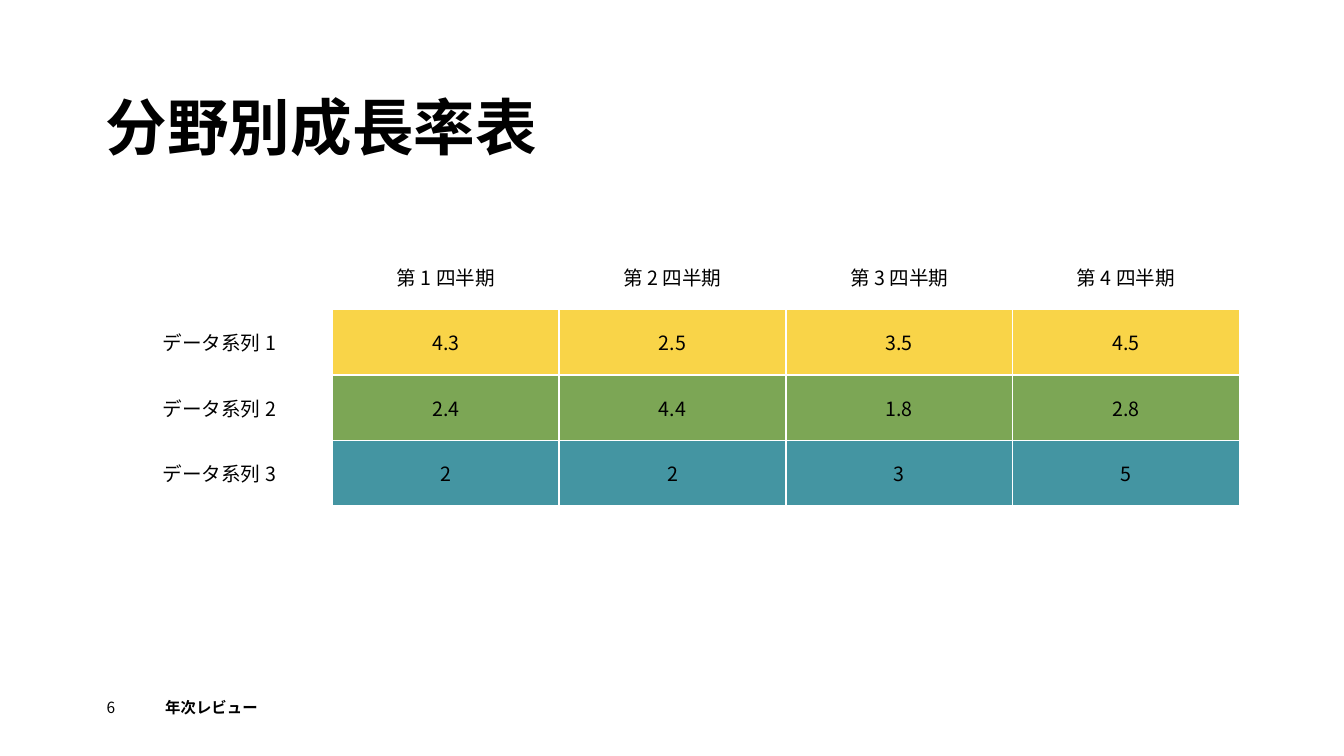
from lxml import etree
from pptx import Presentation
from pptx import util as u
from pptx.dml.color import RGBColor
from pptx.enum import text
from pptx.oxml import ns

BLACK = RGBColor(0x00, 0x00, 0x00)
WHITE = RGBColor(0xFF, 0xFF, 0xFF)
YELLOW = RGBColor(0xF9, 0xD4, 0x48)
GREEN = RGBColor(0x7C, 0xA6, 0x55)
TEAL = RGBColor(0x44, 0x95, 0xA2)
FONT = "Noto Sans CJK JP"

COLUMN, ROW = u.Inches(2.25), u.Inches(0.65)
MARGIN = u.Inches(1.05)
FOOTER_TOP, FOOTER_HEIGHT = u.Inches(6.93), u.Inches(0.27)
OUTER_LINE, INNER_LINE = u.Pt(1.08), u.Pt(1.47)

SERIES = [
    ("データ系列 1", YELLOW, ["4.3", "2.5", "3.5", "4.5"]),
    ("データ系列 2", GREEN, ["2.4", "4.4", "1.8", "2.8"]),
    ("データ系列 3", TEAL, ["2", "2", "3", "5"]),
]
QUARTERS = [f"第 {number} 四半期" for number in range(1, 5)]


def write(frame, words, size, bold=False, align=text.PP_ALIGN.LEFT):
    para = frame.paragraphs[0]
    para.alignment = align
    span = para.add_run()
    span.text = words
    for name, value in {"name": FONT, "size": u.Pt(size), "bold": bold}.items():
        setattr(span.font, name, value)
    span.font.color.rgb = BLACK
    etree.SubElement(span.font._element, ns.qn("a:ea"), typeface=FONT)
    return para


def draw_borders(cell, widths):
    properties = cell._tc.get_or_add_tcPr()
    for index, (side, width) in enumerate(widths.items()):
        line = etree.Element(ns.qn(f"a:ln{side}"), w=str(int(width)))
        fill = etree.SubElement(line, ns.qn("a:solidFill"))
        etree.SubElement(fill, ns.qn("a:srgbClr"), val=str(WHITE))
        properties.insert(index, line)


deck = Presentation()
deck.slide_width, deck.slide_height = u.Inches(13.34), u.Inches(7.5)
page = deck.slides.add_slide(deck.slide_layouts[5])

NO_INSETS = {
    "margin_left": 0, "margin_top": 0, "margin_right": 0, "margin_bottom": 0,
    "word_wrap": True, "auto_size": text.MSO_AUTO_SIZE.NONE,
}

title = page.shapes.title
title_place = {"left": MARGIN, "top": u.Inches(0.96),
               "width": u.Inches(8.27), "height": u.Inches(0.67)}
for name, value in title_place.items():
    setattr(title, name, value)
for name, value in {**NO_INSETS, "vertical_anchor": text.MSO_ANCHOR.BOTTOM}.items():
    setattr(title.text_frame, name, value)
write(title.text_frame, "分野別成長率表", 44, bold=True).line_spacing = 0.9

rows = [["", *QUARTERS]] + [[label, *values] for label, _, values in SERIES]
row_count, column_count = len(rows), len(rows[0])
table = page.shapes.add_table(row_count, column_count, MARGIN, u.Inches(2.42),
                              COLUMN * column_count, ROW * row_count).table
table.first_row = table.horz_banding = False

for r, row in enumerate(rows):
    table.rows[r].height = ROW
    for c, words in enumerate(row):
        table.columns[c].width = COLUMN
        cell = table.cell(r, c)
        cell.vertical_anchor = text.MSO_ANCHOR.MIDDLE
        if r and c:
            cell.fill.solid()
            cell.fill.fore_color.rgb = SERIES[r - 1][1]
        else:
            cell.fill.background()
        if words:
            write(cell.text_frame, words, 14, align=text.PP_ALIGN.CENTER)
        inner = {"L": r and c > 1, "R": r and 0 < c < column_count - 1,
                 "T": c and r > 1, "B": c and 0 < r < row_count - 1}
        draw_borders(cell, {side: INNER_LINE if is_inner else OUTER_LINE
                            for side, is_inner in inner.items()})

for words, left, width, bold in [("6", 1.06, 0.57, False),
                                 ("年次レビュー", 1.64, 1.64, True)]:
    box = page.shapes.add_textbox(u.Inches(left), FOOTER_TOP,
                                  u.Inches(width), FOOTER_HEIGHT)
    for name, value in NO_INSETS.items():
        setattr(box.text_frame, name, value)
    write(box.text_frame, words, 11, bold)

deck.save("out.pptx")
